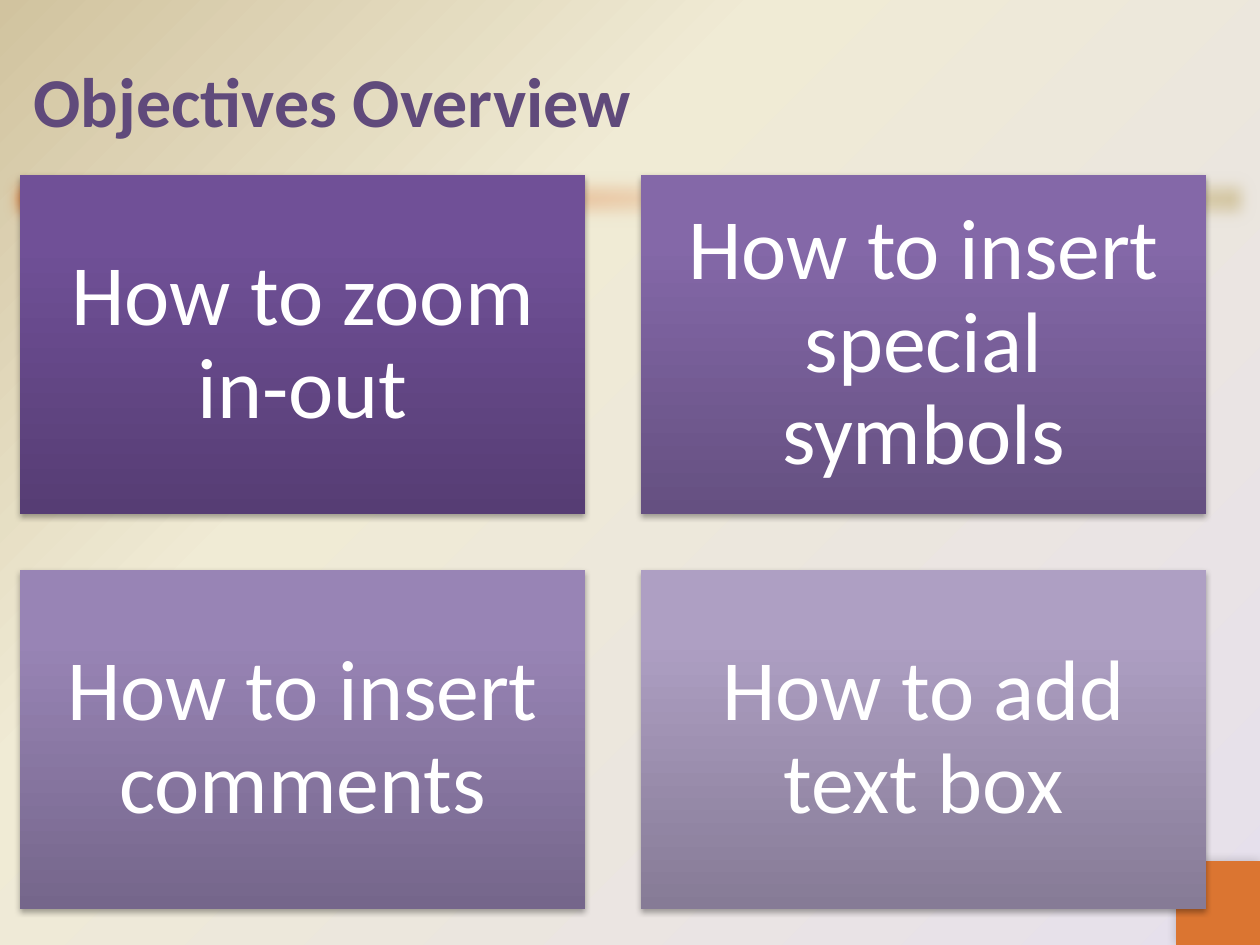
from lxml import etree
from pptx import Presentation
from pptx.dml.color import RGBColor
from pptx.enum.shapes import MSO_SHAPE
from pptx.enum.text import MSO_ANCHOR, PP_ALIGN
from pptx.oxml import parse_xml
from pptx.oxml.ns import nsdecls, qn
from pptx.util import Pt

# Content
TITLE = "Objectives Overview"
TILES = [  # text, gradient stops from bottom to top
    ("How to zoom in-out", ["563D74", "705097", "704F99"]),
    ("How to insert special symbols", ["655081", "8468A8", "8467AA"]),
    ("How to insert comments", ["75668B", "9884B5", "9984B7"]),
    ("How to add text box", ["867B96", "AE9FC3", "AE9FC4"]),
]
C = {"title": "604A7B", "text": "FFFFFF", "accent": "DB7531",
     "cream": "F0EBD5", "sand": "D1C39F", "lilac": "E6E0EC", "shadow": "000000"}
FONT = "Calibri"

# Geometry in px
W, H = 1260, 945
TITLE_BOX = (21, 21, 1218, 158)
BAR = (0, 168, W, 63)
CORNER = 84
LEFT, TOP, TILE_W, TILE_H, GAP, INSET = 20, 175, 565, 339, 56, 25
SCALE = 914400 / 126


def px(n):
    return int(n * SCALE)


def set_gradient(fill, parent, colours, positions, direction):
    """Swap the solid fill in parent for a gradient."""
    fill.solid()
    stops = "".join(f'<a:gs pos="{p * 1000}"><a:srgbClr val="{c}"/></a:gs>'
                    for c, p in zip(colours, positions))
    parent.replace(parent.find(qn("a:solidFill")), parse_xml(
        f'<a:gradFill rotWithShape="1" {nsdecls("a")}><a:gsLst>{stops}</a:gsLst>'
        f'{direction}</a:gradFill>'))


def linear(angle):
    return f'<a:lin ang="{angle * 60000}" scaled="0"/>'


def add_rect(s, *box):
    sp = s.shapes.add_shape(MSO_SHAPE.RECTANGLE, *map(px, box))
    sp.line.fill.background()
    sp.shadow.inherit = False
    return sp, sp._element.spPr


def add_shadow(spPr, alpha, blur, dist, angle):
    effects = spPr.find(qn("a:effectLst"))
    shadow = etree.SubElement(effects, qn("a:outerShdw"), blurRad=str(Pt(blur)),
                              dist=str(Pt(dist)), dir=str(angle * 60000), rotWithShape="0")
    colour = etree.SubElement(shadow, qn("a:srgbClr"), val=C["shadow"])
    etree.SubElement(colour, qn("a:alpha"), val=str(alpha * 1000))


def write(tf, text, align, colour, **fmt):
    tf.word_wrap = True
    tf.vertical_anchor = MSO_ANCHOR.MIDDLE
    p = tf.paragraphs[0]
    p.alignment = align
    r = p.add_run()
    r.text = text
    for name, value in {"name": FONT, **fmt}.items():
        setattr(r.font, name, value)
    r.font.color.rgb = RGBColor.from_string(colour)
    return p


prs = Presentation()
prs.slide_width, prs.slide_height = px(W), px(H)
s = prs.slides.add_slide(prs.slide_layouts[5])

# Background
bg = s.background.fill
bg.solid()
set_gradient(bg, s._element.cSld.find(qn("p:bg")).find(qn("p:bgPr")),
             [C["lilac"], C["cream"], C["sand"]], [0, 65, 100],
             '<a:path path="circle"><a:fillToRect l="100000" t="100000"/></a:path>')

# Soft bar under the title
bar, spPr = add_rect(s, *BAR)
set_gradient(bar.fill, spPr, [C["accent"], C["cream"], C["sand"]], [0, 65, 100], linear(45))
etree.SubElement(spPr.find(qn("a:effectLst")), qn("a:softEdge"), rad=str(Pt(10)))

# Corner square
corner, spPr = add_rect(s, W - CORNER, H - CORNER, CORNER, CORNER)
corner.fill.solid()
corner.fill.fore_color.rgb = RGBColor.from_string(C["accent"])
add_shadow(spPr, 20, 6, 0, 225)

# Title
title = s.shapes.title
title.left, title.top, title.width, title.height = map(px, TITLE_BOX)
write(title.text_frame, TITLE, PP_ALIGN.LEFT, C["title"], size=Pt(40), bold=True)

# Two by two tiles
for i, (text, colours) in enumerate(TILES):
    row, col = divmod(i, 2)
    tile, spPr = add_rect(s, LEFT + col * (TILE_W + GAP), TOP + row * (TILE_H + GAP),
                          TILE_W, TILE_H)
    set_gradient(tile.fill, spPr, colours, [0, 80, 100], linear(270))
    add_shadow(spPr, 35, 3.1, 1.8, 90)
    tf = tile.text_frame
    for side in ("left", "top", "right", "bottom"):
        setattr(tf, f"margin_{side}", px(INSET))
    p = write(tf, text, PP_ALIGN.CENTER, C["text"], size=Pt(49))
    p.line_spacing = 0.9

prs.save("out.pptx")
